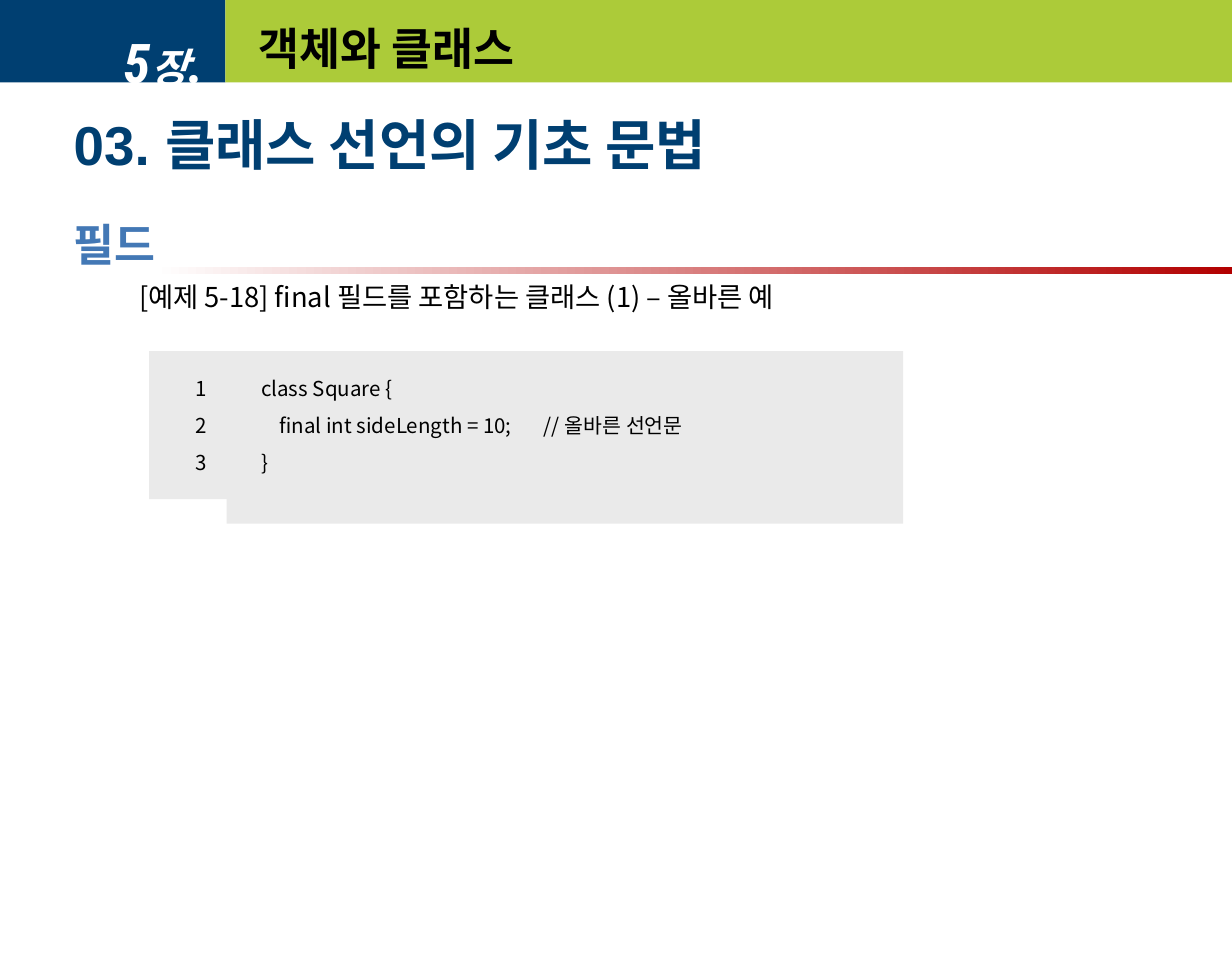
from pptx import Presentation
from pptx.dml.color import RGBColor
from pptx.enum.shapes import MSO_SHAPE
from pptx.enum.text import MSO_ANCHOR as ANCHOR, PP_ALIGN as ALIGN
from pptx.oxml.ns import qn
from pptx.util import Pt
from lxml.etree import SubElement

THEME = {
    "navy": "003F71", "lime": "ACCB39", "blue": "4378B5", "red": "B20000",
    "panel": "EAEAEA", "white": "FFFFFF", "black": "000000",
    "hangul": "Noto Sans CJK KR", "chapter": "Roboto Condensed",
    "number": "Arial", "section": "Arial Narrow",
    "h1": 32, "h2": 26, "small": 24, "body": 16, "code": 12,
}

CHAPTER = [("5", "h1"), ("장", "small"), (".", "h1")]
HEADER = "객체와 클래스"
TITLE = [("03. ", "number"), ("클래스 선언의 기초 문법", "hangul")]
SECTION = "필드"
EXAMPLE = "[예제 5-18] final 필드를 포함하는 클래스 (1) – 올바른 예"
CODE = [
    "class Square {",
    "    final int sideLength = 10;       // 올바른 선언문",
    "}",
]

W, H = 720, 566.64
BAND_H, SPLIT = 48.24, 131.76
CODE_TOP = 205.2
CODE_PITCH, CODE_GAP = 14.2, 7.5
BODY_INSETS = (7.2, 3.6, 7.2, 3.6)
CODE_INSETS = (20.16, 14.4, 14.4, 14.4)

prs = Presentation()
prs.slide_width, prs.slide_height = Pt(W), Pt(H)
s = prs.slides.add_slide(prs.slide_layouts[6])


def rgb(name):
    return RGBColor.from_string(THEME[name])


def add_rect(x, y, w, h, fill):
    sp = s.shapes.add_shape(MSO_SHAPE.RECTANGLE, Pt(x), Pt(y), Pt(w), Pt(h))
    sp.shadow.inherit = False
    sp.line.fill.background()
    sp.fill.solid()
    sp.fill.fore_color.rgb = rgb(fill)
    return sp


def set_frame(sp, insets, anchor):
    tf = sp.text_frame
    tf.word_wrap = True
    tf.vertical_anchor = anchor
    tf.margin_left, tf.margin_top, tf.margin_right, tf.margin_bottom = map(Pt, insets)
    return tf


def add_box(x, y, w, h, anchor=ANCHOR.TOP):
    sp = s.shapes.add_textbox(Pt(x), Pt(y), Pt(w), Pt(h))
    return set_frame(sp, BODY_INSETS, anchor)


def add_run(p, text, size, color, font="hangul", bold=False, italic=False):
    r = p.add_run()
    r.text = text
    r.font.size = Pt(THEME[size])
    r.font.bold, r.font.italic = bold, italic
    r.font.color.rgb = rgb(color)
    r.font.name = THEME[font]
    SubElement(r.font._element, qn("a:ea")).set("typeface", THEME["hangul"])


def add_code(x, w, h, lines, align):
    tf = set_frame(add_rect(x, CODE_TOP, w, h, "panel"), CODE_INSETS, ANCHOR.TOP)
    for i, line in enumerate(lines):
        p = tf.add_paragraph() if i else tf.paragraphs[0]
        p.alignment = align
        p.line_spacing = Pt(CODE_PITCH)
        if i:
            p.space_before = Pt(CODE_GAP)
        add_run(p, line, "code", "black")


add_rect(0, 0, SPLIT, BAND_H, "navy")
p = add_box(0, 6, 126, 59.5, ANCHOR.MIDDLE).paragraphs[0]
p.alignment = ALIGN.RIGHT
for text, size in CHAPTER:
    add_run(p, text, size, "white", "chapter", bold=True, italic=True)

add_rect(SPLIT, 0, W - SPLIT, BAND_H, "lime")
p = add_box(144, 6, 564, 43.2, ANCHOR.MIDDLE).paragraphs[0]
add_run(p, HEADER, "h2", "black", bold=True)

rule = add_rect(90, 156, W - 90, 4.2, "red")
rule.fill.gradient()
rule.fill.gradient_angle = 0
for stop, color in zip(rule.fill.gradient_stops, ("white", "red")):
    stop.color.rgb = rgb(color)

tf = add_box(36, 61, 647, 145)
p = tf.paragraphs[0]
for text, font in TITLE:
    add_run(p, text, "h1", "navy", font, bold=True)
p = tf.add_paragraph()
p.space_before = Pt(24)
add_run(p, SECTION, "h2", "blue", "section", bold=True)
p = tf.add_paragraph()
p.space_before = Pt(5.4)
p._p.get_or_add_pPr().set("marL", str(Pt(38.2)))
add_run(p, EXAMPLE, "body", "black")

add_code(132.5, 395.3, 100.8, CODE, ALIGN.LEFT)
add_code(87.1, 48.2, 86.4, [str(n) for n in range(1, len(CODE) + 1)], ALIGN.RIGHT)

prs.save("out.pptx")
